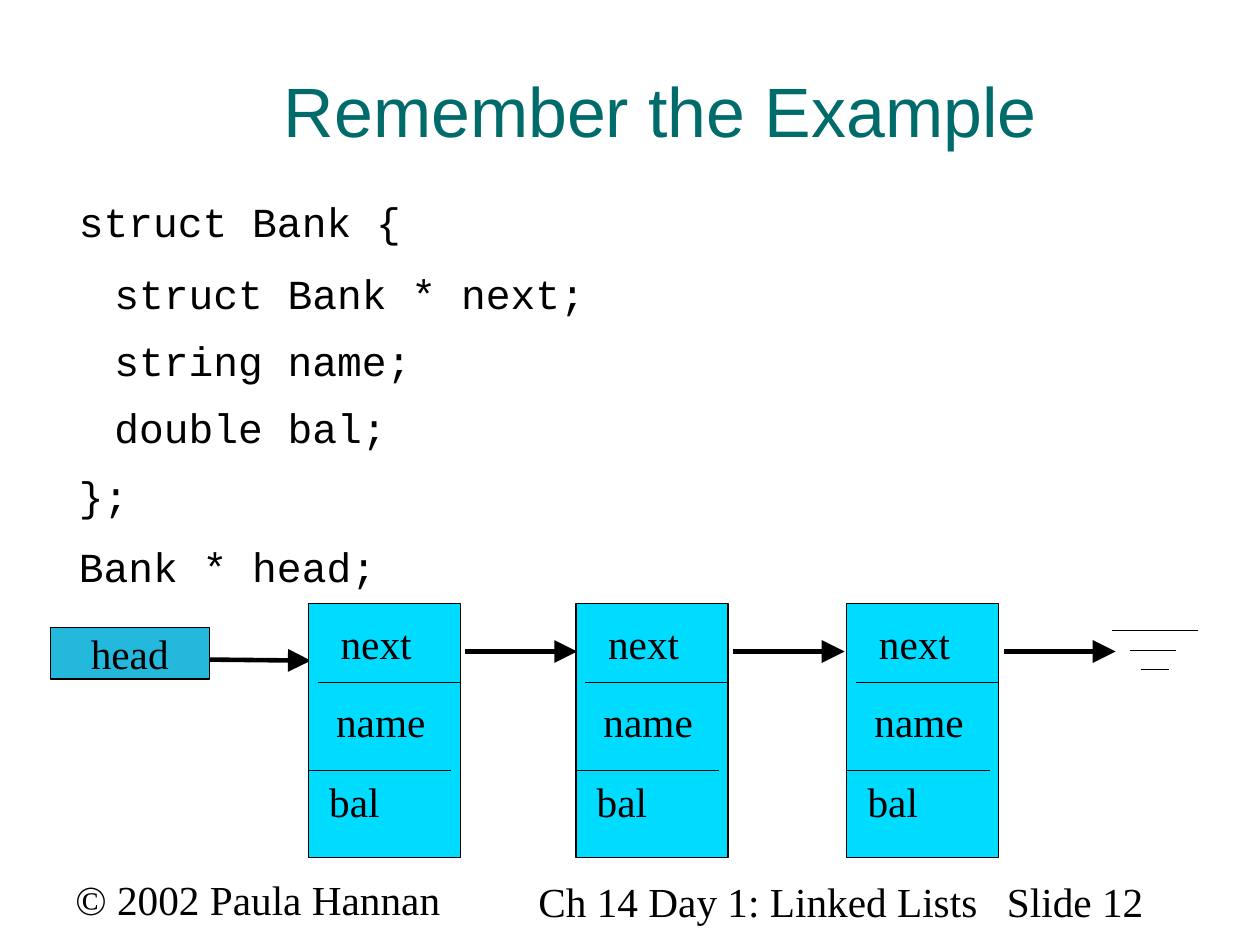
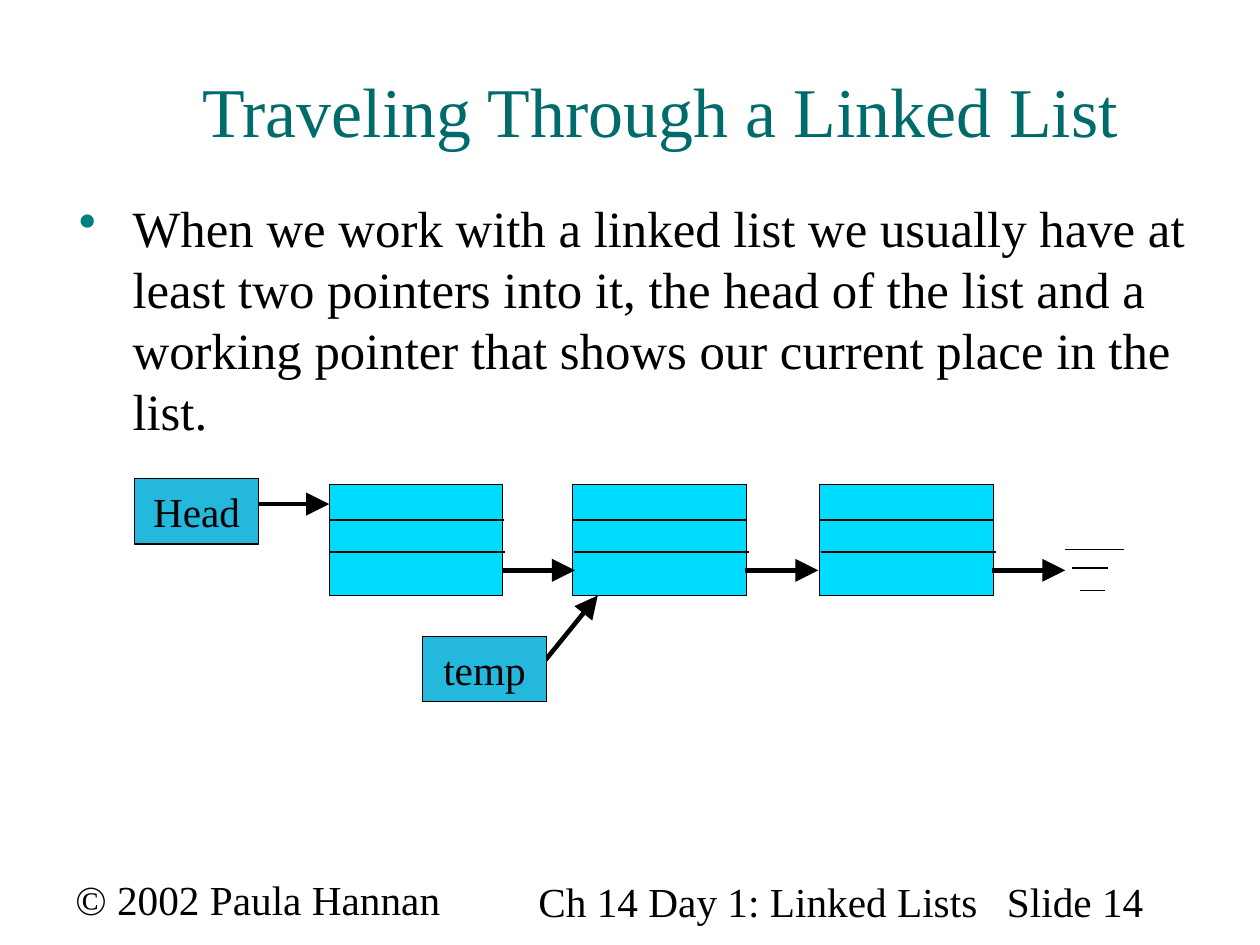
from dataclasses import dataclass, field
from typing import Any, NamedTuple

from lxml import etree
from pptx import Presentation, util as u
from pptx.dml.color import RGBColor
from pptx.enum import shapes, text
from pptx.oxml.ns import qn

# Shared look
BLACK = RGBColor(0x00, 0x00, 0x00)
TITLE_TEAL = RGBColor(0x00, 0x6B, 0x6B)
BULLET_TEAL = RGBColor(0x00, 0x80, 0x80)
NODE_CYAN = RGBColor(0x00, 0xDC, 0xFF)
POINTER_BLUE = RGBColor(0x23, 0xB8, 0xDC)
SERIF, SANS, MONO = "Times New Roman", "Arial", "Courier New"
THIN, THICK = 0.75, 2.89


class Area(NamedTuple):
    left: float
    top: float
    width: float
    height: float


class Stroke(NamedTuple):
    x1: float
    y1: float
    x2: float
    y2: float


TITLE_AREA = Area(0.79, 0.27, 9.98, 1.38)
BODY_AREA = Area(0.61, 1.72, 10.21, 5.88)
COPYRIGHT_AREA = Area(0.66, 7.65, 3.3, 0.43)
CHAPTER_AREA = Area(4.71, 7.67, 4.0, 0.43)
NUMBER_AREA = Area(8.81, 7.67, 1.94, 0.43)


@dataclass(frozen=True)
class Line:
    """One paragraph of text and its format."""
    words: str
    size: float = 26
    font: str = SERIF
    color: RGBColor = BLACK
    align: Any = text.PP_ALIGN.LEFT
    margin: float = 0
    hanging: float = 0
    after: float = 0
    bullet: bool = False


class Label(NamedTuple):
    words: str
    dx: float
    dy: float


class Pointer(NamedTuple):
    words: str
    area: Area
    arrow: Stroke


@dataclass(frozen=True)
class NodeChain:
    """Linked nodes; dividers, labels and link are offsets from a node's corner."""
    lefts: list[float]
    top: float
    width: float
    height: float
    dividers: list[Stroke]
    link: Stroke
    ground: list[Stroke]
    pointers: list[Pointer]
    labels: list[Label] = field(default_factory=list)


def apply(target: Any, values: dict[str, Any]) -> None:
    for name, value in values.items():
        setattr(target, name, value)


def add_mark(parent: Any, tag: str, **attributes: str) -> Any:
    return etree.SubElement(parent, qn(tag), attributes)


# Text
def write(frame: Any, lines: list[Line], anchor: Any, wrap: bool = True) -> None:
    apply(frame, dict(word_wrap=wrap, vertical_anchor=anchor, margin_left=0,
                      margin_top=0, margin_right=0, margin_bottom=0))
    for index, line in enumerate(lines):
        para = frame.add_paragraph() if index else frame.paragraphs[0]
        props = para._p.get_or_add_pPr()
        props.set("marL", str(u.Inches(line.margin)))
        props.set("indent", str(u.Inches(-line.hanging)))
        if line.bullet:
            color = add_mark(props, "a:buClr")
            add_mark(color, "a:srgbClr", val=str(BULLET_TEAL))
            add_mark(props, "a:buChar", char="•")
        apply(para, dict(alignment=line.align, space_after=u.Pt(line.after)))
        span = para.add_run()
        span.text = line.words
        apply(span.font, dict(size=u.Pt(line.size), name=line.font))
        span.font.color.rgb = line.color


def add_text(page: Any, area: Area, lines: list[Line],
             anchor: Any = text.MSO_ANCHOR.TOP, wrap: bool = True) -> None:
    box = page.shapes.add_textbox(*map(u.Inches, area))
    write(box.text_frame, lines, anchor, wrap)


# Drawing
def add_box(page: Any, area: Area, color: RGBColor, words: str = "") -> None:
    box = page.shapes.add_shape(shapes.MSO_SHAPE.RECTANGLE, *map(u.Inches, area))
    box.shadow.inherit = False
    box.fill.solid()
    box.fill.fore_color.rgb = color
    box.line.color.rgb = BLACK
    box.line.width = u.Pt(THIN)
    if words:
        write(box.text_frame, [Line(words, align=text.PP_ALIGN.CENTER)],
              text.MSO_ANCHOR.MIDDLE)


def add_line(page: Any, stroke: Stroke, arrow: bool = False) -> None:
    line = page.shapes.add_connector(shapes.MSO_CONNECTOR.STRAIGHT,
                                     *map(u.Inches, stroke))
    line.line.color.rgb = BLACK
    line.line.width = u.Pt(THICK if arrow else THIN)
    if arrow:
        add_mark(line.line._get_or_add_ln(), "a:tailEnd", type="triangle",
                 w="lg", len="lg")
    add_mark(line._element.spPr, "a:effectLst")


def shifted(stroke: Stroke, dx: float, dy: float) -> Stroke:
    return Stroke(stroke.x1 + dx, stroke.y1 + dy, stroke.x2 + dx, stroke.y2 + dy)


def add_chain(page: Any, chain: NodeChain) -> None:
    for pointer in chain.pointers:
        add_line(page, pointer.arrow, arrow=True)
        add_box(page, pointer.area, POINTER_BLUE, pointer.words)
    for left in chain.lefts:
        add_box(page, Area(left, chain.top, chain.width, chain.height), NODE_CYAN)
        for divider in chain.dividers:
            add_line(page, shifted(divider, left, chain.top))
        for label in chain.labels:
            area = Area(left + label.dx, chain.top + label.dy, 1.05, 0.43)
            add_text(page, area, [Line(label.words)])
    for left in chain.lefts:
        add_line(page, shifted(chain.link, left, chain.top), arrow=True)
    for stroke in chain.ground:
        add_line(page, stroke)


# Page frame: footer, title and body
def add_page(deck: Any, number: int, title: Line, body: list[Line],
             chain: NodeChain) -> None:
    page = deck.slides.add_slide(deck.slide_layouts[6])
    add_text(page, COPYRIGHT_AREA, [Line("© 2002 Paula Hannan")], wrap=False)
    add_text(page, CHAPTER_AREA, [Line("Ch 14 Day 1: Linked Lists")])
    add_text(page, NUMBER_AREA, [Line(f"Slide {number}")])
    add_text(page, TITLE_AREA, [title], text.MSO_ANCHOR.MIDDLE)
    add_text(page, BODY_AREA, body)
    add_chain(page, chain)


def heading(words: str, font: str) -> Line:
    return Line(words, 44, font, TITLE_TEAL, text.PP_ALIGN.CENTER)


def code(words: str, level: int = 0) -> Line:
    return Line(words, font=MONO, margin=(0.55, 0.86)[level], hanging=0.47,
                after=(14, 11.1)[level])


# Content
STRUCT_CODE = [
    code("struct Bank {"),
    code("struct Bank * next;", 1),
    code("string name;", 1),
    code("double bal;", 1),
    code("};"),
    code("Bank * head;"),
]
BANK_CHAIN = NodeChain(
    lefts=[2.7, 5.04, 7.41], top=5.28, width=1.33, height=2.22,
    dividers=[Stroke(0.08, 0.69, 1.33, 0.69), Stroke(0, 1.46, 1.25, 1.46)],
    link=Stroke(1.37, 0.42, 2.35, 0.42),
    ground=[Stroke(9.73, 5.52, 10.48, 5.52), Stroke(9.89, 5.69, 10.29, 5.69),
            Stroke(9.98, 5.86, 10.23, 5.86)],
    pointers=[Pointer("head", Area(0.44, 5.49, 1.39, 0.45),
                      Stroke(1.74, 5.77, 2.72, 5.78))],
    labels=[Label("next", 0.28, 0.13), Label("name", 0.24, 0.81),
            Label("bal", 0.18, 1.51)],
)

TRAVEL_TEXT = [Line(
    "When we work with a linked list we usually have at least two pointers into it, "
    "the head of the list and a working pointer that shows our current place in the list.",
    size=32, margin=0.55, hanging=0.47, after=14, bullet=True)]
TRAVEL_CHAIN = NodeChain(
    lefts=[2.88, 5.01, 7.17], top=4.24, width=1.52, height=0.97,
    dividers=[Stroke(0, 0.31, 1.53, 0.31), Stroke(0.01, 0.59, 1.54, 0.59)],
    link=Stroke(1.51, 0.75, 2.15, 0.75),
    ground=[Stroke(9.32, 4.81, 9.83, 4.81), Stroke(9.38, 4.97, 9.69, 4.97),
            Stroke(9.45, 5.17, 9.67, 5.17)],
    pointers=[Pointer("Head", Area(1.18, 4.19, 1.08, 0.57),
                      Stroke(2.24, 4.41, 2.88, 4.41)),
              Pointer("temp", Area(3.7, 5.57, 1.08, 0.57),
                      Stroke(4.76, 5.79, 5.23, 5.21))],
)


def main() -> None:
    deck = Presentation()
    apply(deck, dict(slide_width=u.Cm(28), slide_height=u.Cm(21)))
    add_page(deck, 12, heading("Remember the Example", SANS), STRUCT_CODE, BANK_CHAIN)
    add_page(deck, 14, heading("Traveling Through a Linked List", SERIF),
             TRAVEL_TEXT, TRAVEL_CHAIN)
    deck.save("out.pptx")


if __name__ == "__main__":
    main()
